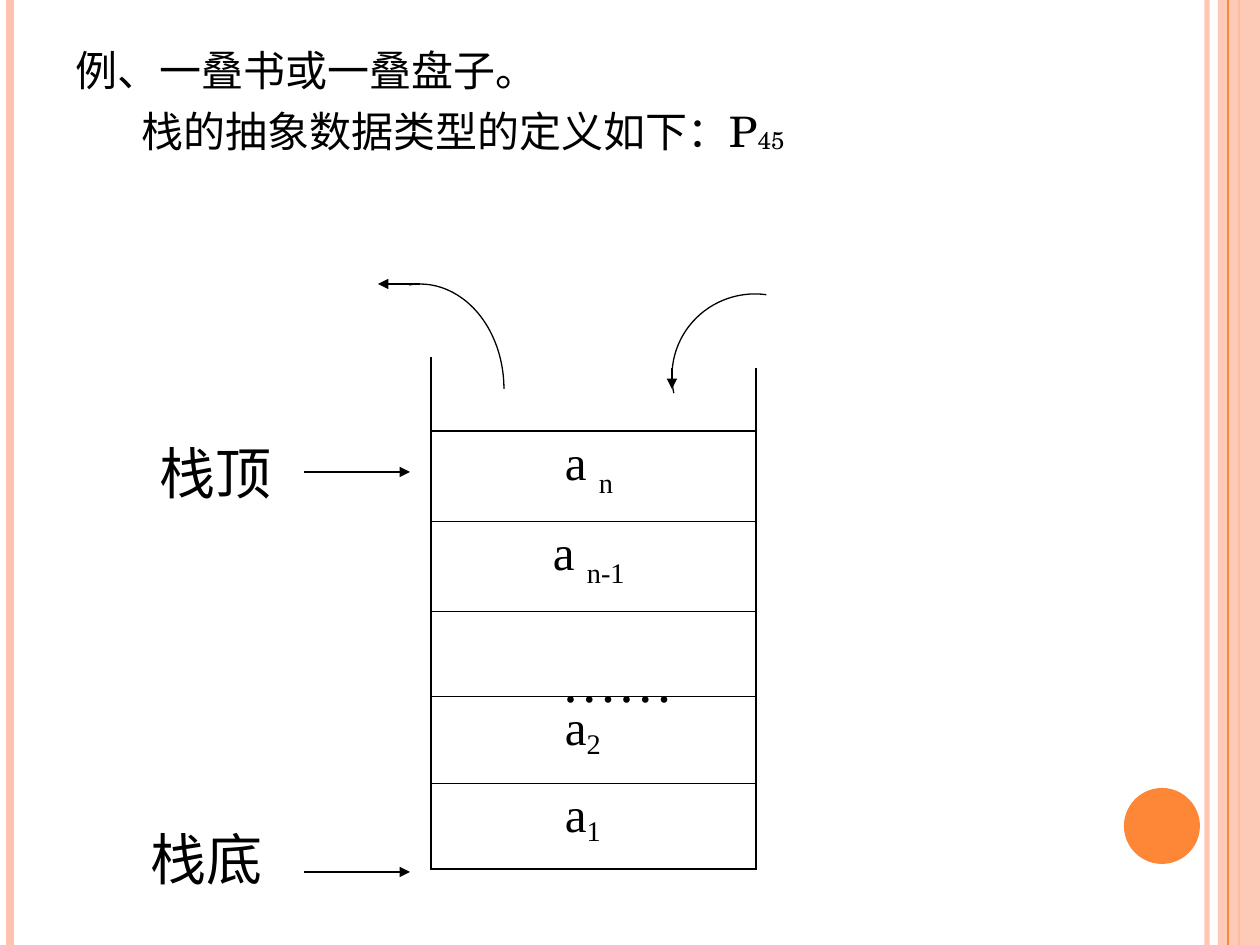
from typing import NamedTuple

from pptx import Presentation
from pptx.dml.color import RGBColor
from pptx.enum.shapes import MSO_CONNECTOR, MSO_SHAPE
from pptx.enum.text import MSO_ANCHOR, MSO_AUTO_SIZE
from pptx.oxml.xmlchemy import OxmlElement
from pptx.util import Emu, Pt

EMU_PER_PX = 914400 / 126
COLORS = {"ink": "000000", "orange": "FE8637", "peach": "FEC3AE"}
SERIF, SCHOOL = "Times New Roman", "TeX Gyre Schola"


class Stroke(NamedTuple):
    x1: int
    y1: int
    x2: int
    y2: int
    weight: float = 0.75
    color: str = "ink"
    arrow: bool = False
    opacity: int = 100


class Arc(NamedTuple):
    """Part of an ellipse; angles run clockwise from the right."""
    left: int
    top: int
    width: int
    height: int
    start: int
    end: int


class Label(NamedTuple):
    left: int
    top: int
    width: int
    height: int
    text: str


class StackRow(NamedTuple):
    height: int
    indent: int = 0
    base: str = ""
    index: str = ""
    baseline: int = 0


SLIDE_HEIGHT = 945
RAILS = [
    Stroke(1207, 0, 1207, SLIDE_HEIGHT, 3, "peach", opacity=93),
    Stroke(10, 0, 10, SLIDE_HEIGHT, 4.5, "peach"),
    Stroke(1239, 0, 1239, SLIDE_HEIGHT, 1.5, "orange"),
]
INNER_RAIL = Stroke(1228, 0, 1228, SLIDE_HEIGHT, 0.75, "orange")
STACK_LEFT, STACK_TOP, STACK_WIDTH = 431, 431, 325
STACK_RIGHT = STACK_LEFT + STACK_WIDTH
STACK_ROWS = [
    StackRow(90, 134, "a ", "n", -25),
    StackRow(90, 122, "a ", "n-1", -25),
    StackRow(85),
    StackRow(87, 134, "a", "2", -18),
    StackRow(86, 134, "a", "1", -18),
]
WALLS = [
    Stroke(STACK_LEFT, 357, STACK_LEFT, 472),
    Stroke(STACK_LEFT, 368, STACK_LEFT, 410),
    Stroke(STACK_RIGHT, 368, STACK_RIGHT, 472, 1.5),
]
ARROWS = [
    Stroke(420, 284, 378, 284, arrow=True),
    Stroke(672, 368, 672, 389, arrow=True),
    Stroke(304, 872, 410, 872, arrow=True),
    Stroke(304, 472, 410, 472, arrow=True),
]
ARCS = [Arc(336, 284, 168, 210, 264, 0), Arc(672, 294, 166, 164, 168, 278)]
LABELS = [
    Label(549, 640, 144, 81, "……"),
    Label(147, 432, 141, 81, "栈顶"),
    Label(138, 818, 146, 81, "栈底"),
]


def px(length: int) -> Emu:
    return Emu(round(length * EMU_PER_PX))


def rgb(name: str) -> RGBColor:
    return RGBColor.from_string(COLORS[name])


def element(tag: str, **attributes):
    node = OxmlElement(tag)
    for key, value in attributes.items():
        node.set(key, str(value))
    return node


def set_opacity(holder, percent: int) -> None:
    for color in holder.iter("{*}srgbClr"):
        color.append(element("a:alpha", val=percent * 1000))


def draw_stroke(slide, stroke: Stroke) -> None:
    ends = map(px, stroke[:4])
    connector = slide.shapes.add_connector(MSO_CONNECTOR.STRAIGHT, *ends)
    connector.line.width = Pt(stroke.weight)
    connector.line.color.rgb = rgb(stroke.color)
    properties = connector._element.spPr
    if stroke.opacity < 100:
        set_opacity(properties, stroke.opacity)
    if stroke.arrow:
        connector.line._get_or_add_ln().append(element("a:tailEnd", type="triangle"))
    properties.append(element("a:effectLst"))


def draw_solid(slide, kind: MSO_SHAPE, box: tuple, color: str, opacity: int = 100) -> None:
    shape = slide.shapes.add_shape(kind, *map(px, box))
    shape.shadow.inherit = False
    shape.fill.solid()
    shape.fill.fore_color.rgb = rgb(color)
    shape.line.fill.background()
    if opacity < 100:
        set_opacity(shape._element.spPr, opacity)


def draw_arc(slide, arc: Arc) -> None:
    shape = slide.shapes.add_shape(MSO_SHAPE.ARC, *map(px, arc[:4]))
    # One degree is 60000 units; adjustments count in 100000 units.
    shape.adjustments[0] = arc.start * 0.6
    shape.adjustments[1] = arc.end * 0.6
    shape.shadow.inherit = False
    shape.fill.background()
    shape.line.color.rgb = rgb("ink")
    shape.line.width = Pt(0.75)


def format_runs(paragraph, size: int, face: str) -> None:
    for run in paragraph.runs:
        run.font.size = Pt(size)
        run.font.name = face
        run.font.color.rgb = rgb("ink")


def add_subscript(paragraph, text: str, baseline: int) -> None:
    subscript = paragraph.add_run()
    subscript.text = text
    subscript._r.get_or_add_rPr().set("baseline", str(baseline * 1000))


def draw_label(slide, label: Label) -> None:
    frame = slide.shapes.add_textbox(*map(px, label[:4])).text_frame
    frame.word_wrap = True
    frame.text = label.text
    format_runs(frame.paragraphs[0], 32, SERIF)


def set_borders(cell, first: bool, last: bool) -> None:
    weights = {"L": 1.08, "R": 1.08, "T": 1.08 if first else 0.45, "B": 1.08 if last else 0.45}
    properties = cell._tc.get_or_add_tcPr()
    for side, weight in weights.items():
        border = element(f"a:ln{side}", w=Pt(weight))
        fill = element("a:solidFill")
        fill.append(element("a:srgbClr", val=COLORS["ink"]))
        border.append(fill)
        properties.append(border)


def draw_stack(slide) -> None:
    total = sum(row.height for row in STACK_ROWS)
    box = map(px, (STACK_LEFT, STACK_TOP, STACK_WIDTH, total))
    stack = slide.shapes.add_table(len(STACK_ROWS), 1, *box).table
    stack.first_row = stack.horz_banding = False
    for number, row in enumerate(STACK_ROWS):
        stack.rows[number].height = px(row.height)
        cell = stack.cell(number, 0)
        set_borders(cell, number == 0, number == len(STACK_ROWS) - 1)
        cell.fill.background()
        if row.base:
            cell.margin_left = px(row.indent)
            cell.text = row.base
            paragraph = cell.text_frame.paragraphs[0]
            add_subscript(paragraph, row.index, row.baseline)
            format_runs(paragraph, 28, SERIF)


def write_example(slide) -> None:
    body = slide.placeholders[1]
    body.left, body.top, body.width, body.height = map(px, (63, 38, 1134, 806))
    frame = body.text_frame
    frame.auto_size = MSO_AUTO_SIZE.NONE
    frame.vertical_anchor = MSO_ANCHOR.TOP
    frame.text = "例、一叠书或一叠盘子。\n栈的抽象数据类型的定义如下：P"
    example, definition = frame.paragraphs
    add_subscript(definition, "45", -6)
    for paragraph, indent, before in ((example, 0, 0), (definition, 66, 6)):
        paragraph.space_before = Pt(before)
        properties = paragraph._p.get_or_add_pPr()
        properties.set("marL", str(px(indent)))
        properties.set("indent", "0")
        properties.append(element("a:buNone"))
        format_runs(paragraph, 24, SCHOOL)


def main() -> None:
    deck = Presentation()
    deck.slide_width, deck.slide_height = px(1260), px(SLIDE_HEIGHT)
    slide = deck.slides.add_slide(deck.slide_layouts[1])
    title = slide.shapes.title._element
    title.getparent().remove(title)
    for rail in RAILS:
        draw_stroke(slide, rail)
    draw_solid(slide, MSO_SHAPE.RECTANGLE, (1218, 0, 42, SLIDE_HEIGHT), "peach", 87)
    draw_stroke(slide, INNER_RAIL)
    draw_solid(slide, MSO_SHAPE.OVAL, (1124, 788, 76, 76), "orange")
    write_example(slide)
    draw_stack(slide)
    for stroke in WALLS + ARROWS:
        draw_stroke(slide, stroke)
    for arc in ARCS:
        draw_arc(slide, arc)
    for label in LABELS:
        draw_label(slide, label)
    deck.save("out.pptx")


if __name__ == "__main__":
    main()
